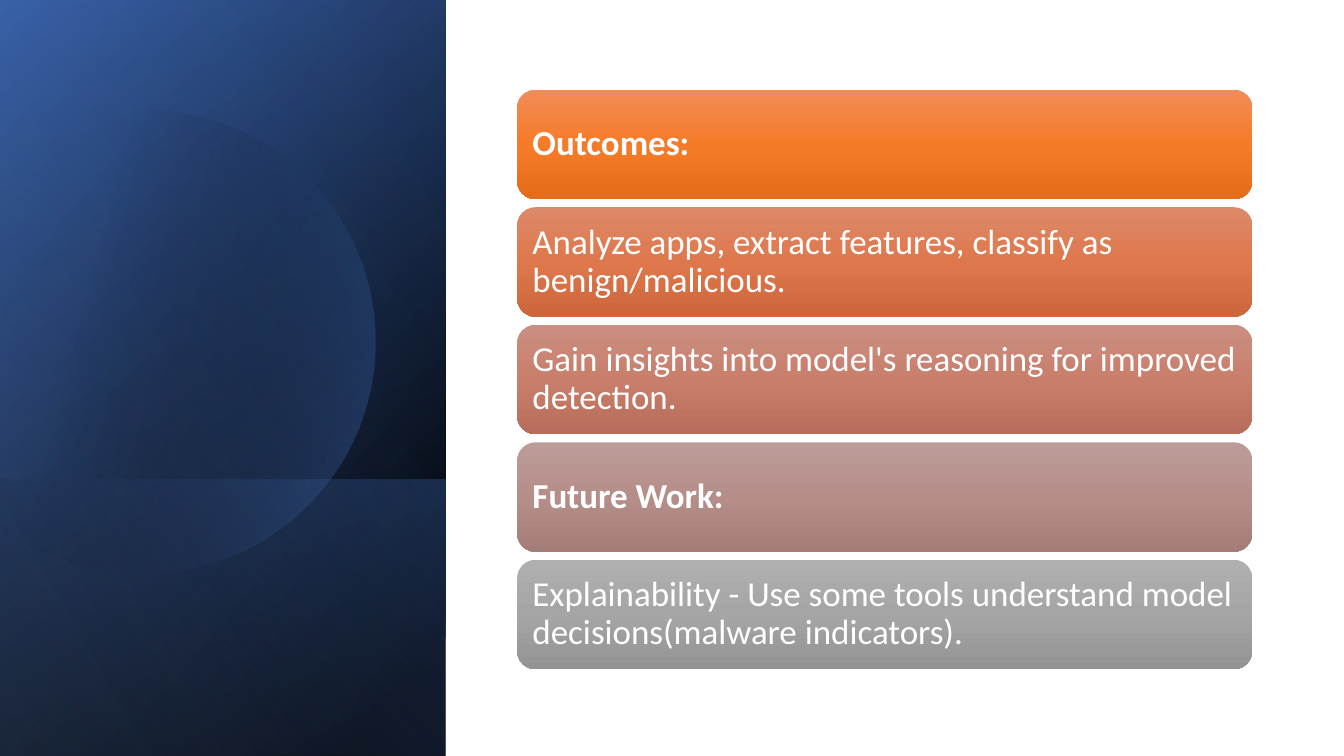
from collections import namedtuple
from math import acos, cos, sin

from lxml import etree
from pptx import Presentation
from pptx import util as u
from pptx.dml.color import RGBColor
from pptx.enum import shapes, text
from pptx.oxml.ns import qn

Box = namedtuple("Box", "left top width height")
Stop = namedtuple("Stop", "position color opacity", defaults=[100])

BLACK = RGBColor(0x00, 0x00, 0x00)
WHITE = RGBColor(0xFF, 0xFF, 0xFF)
NAVY = RGBColor(0x2F, 0x55, 0x97)
BLUE = RGBColor(0x44, 0x72, 0xC4)
PALE_BLUE = RGBColor(0x8F, 0xAA, 0xDC)

BAR_COLORS = [
    (RGBColor(0xF1, 0x8C, 0x57), RGBColor(0xF6, 0x7B, 0x28), RGBColor(0xE5, 0x6C, 0x19)),
    (RGBColor(0xDD, 0x8A, 0x6A), RGBColor(0xDE, 0x77, 0x4B), RGBColor(0xCD, 0x67, 0x3B)),
    (RGBColor(0xCB, 0x8F, 0x81), RGBColor(0xC9, 0x7E, 0x6B), RGBColor(0xB7, 0x6D, 0x5B)),
    (RGBColor(0xBC, 0x9C, 0x99), RGBColor(0xB6, 0x8E, 0x89), RGBColor(0xA4, 0x7C, 0x78)),
    (RGBColor(0xAF, 0xAF, 0xAF), RGBColor(0xA5, 0xA5, 0xA5), RGBColor(0x93, 0x93, 0x93)),
]
BAR_TEXTS = [
    ("Outcomes:", True),
    ("Analyze apps, extract features, classify as benign/malicious.", False),
    ("Gain insights into model's reasoning for improved detection.", False),
    ("Future Work:", True),
    ("Explainability - Use some tools understand model decisions(malware indicators).", False),
]


def paint(shape, stops, angle):
    """Give a shape a linear gradient, no line and no shadow."""
    shape.shadow.inherit = False
    shape.line.fill.background()
    shape.fill.gradient()
    gradient = shape._element.spPr.find(qn("a:gradFill"))
    for child in list(gradient):
        gradient.remove(child)
    stop_list = etree.SubElement(gradient, qn("a:gsLst"))
    for stop in stops:
        mark = etree.SubElement(stop_list, qn("a:gs"), pos=str(stop.position * 1000))
        color = etree.SubElement(mark, qn("a:srgbClr"), val=str(stop.color))
        if stop.opacity < 100:
            etree.SubElement(color, qn("a:alpha"), val=str(stop.opacity * 1000))
    etree.SubElement(gradient, qn("a:lin"), ang=str(angle * 60000), scaled="0")


def add_veil(page, box, stops, angle):
    """Cover a box with a mirrored rectangle turned by a quarter."""
    left = box.left + (box.width - box.height) / 2
    top = box.top + (box.height - box.width) / 2
    veil = page.shapes.add_shape(
        shapes.MSO_SHAPE.RECTANGLE,
        u.Inches(left), u.Inches(top), u.Inches(box.height), u.Inches(box.width))
    veil.rotation = 90
    veil._element.spPr.xfrm.set("flipH", "1")
    paint(veil, stops, angle)


def add_disc(page, box, steps=120):
    """Draw a disc whose left side is cut off just outside the box."""
    center_x, center_y, radius = box.left + 1.42, box.top + 3.39, 2.3
    reach = acos((box.left - 0.15 - center_x) / radius)
    angles = [reach * (2 * step / steps - 1) for step in range(steps + 1)]
    points = [(u.Inches(center_x + radius * cos(angle)),
               u.Inches(center_y + radius * sin(angle))) for angle in angles]
    builder = page.shapes.build_freeform(*points[0])
    builder.add_line_segments(points[1:], close=True)
    paint(builder.convert_to_shape(), [Stop(29, BLACK, 0), Stop(100, BLUE, 43)], 14)


def add_side_panel(page, box):
    """Layer the blue gradients and the disc in the side panel."""
    foot_height = 2.74
    foot = Box(box.left, box.top + box.height - foot_height, box.width, foot_height)
    add_veil(page, box, [Stop(8, BLACK), Stop(100, NAVY)], 50)
    add_veil(page, box, [Stop(0, BLACK, 0), Stop(99, BLUE, 46)], 30)
    add_veil(page, foot, [Stop(2, BLUE, 29), Stop(100, BLACK, 30)], 130)
    add_disc(page, box)
    add_veil(page, box, [Stop(0, BLACK, 0), Stop(99, PALE_BLUE, 11)], 120)


def add_bar(page, box, colors, words, bold):
    """Draw one rounded bar with its text."""
    bar = page.shapes.add_shape(
        shapes.MSO_SHAPE.ROUNDED_RECTANGLE, *[u.Inches(length) for length in box])
    paint(bar, [Stop(50 * index, color) for index, color in enumerate(colors)], 90)
    frame = bar.text_frame
    frame.word_wrap = True
    frame.vertical_anchor = text.MSO_ANCHOR.MIDDLE
    frame.margin_left = frame.margin_right = u.Inches(0.1)
    frame.margin_top = frame.margin_bottom = u.Inches(0.1)
    para = frame.paragraphs[0]
    para.alignment = text.PP_ALIGN.LEFT
    para.line_spacing = 0.9
    span = para.add_run()
    span.text = words
    span.font.name = "Calibri"
    span.font.size = u.Pt(25)
    span.font.bold = bold
    span.font.color.rgb = WHITE


def add_bar_list(page, box, gap=0.08):
    """Stack the bars evenly in the box."""
    height = (box.height - gap * (len(BAR_TEXTS) - 1)) / len(BAR_TEXTS)
    for index, (colors, (words, bold)) in enumerate(zip(BAR_COLORS, BAR_TEXTS)):
        top = box.top + index * (height + gap)
        add_bar(page, Box(box.left, top, box.width, height), colors, words, bold)


def main():
    """Build and save the deck."""
    deck = Presentation()
    deck.slide_width, deck.slide_height = u.Inches(13.33), u.Inches(7.5)
    page = deck.slides.add_slide(deck.slide_layouts[6])
    add_side_panel(page, Box(0, 0, 4.42, 7.5))
    add_bar_list(page, Box(5.13, 0.89, 7.29, 5.75))
    deck.save("out.pptx")


if __name__ == "__main__":
    main()
